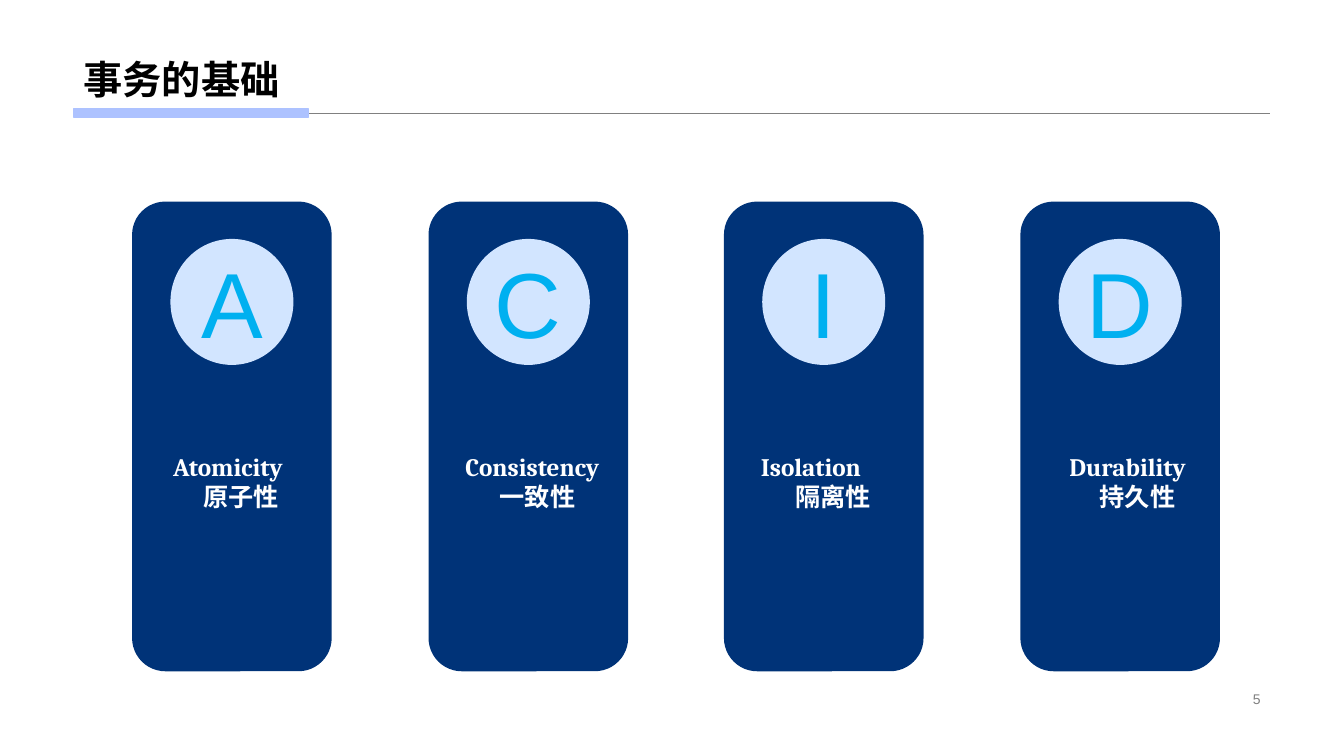
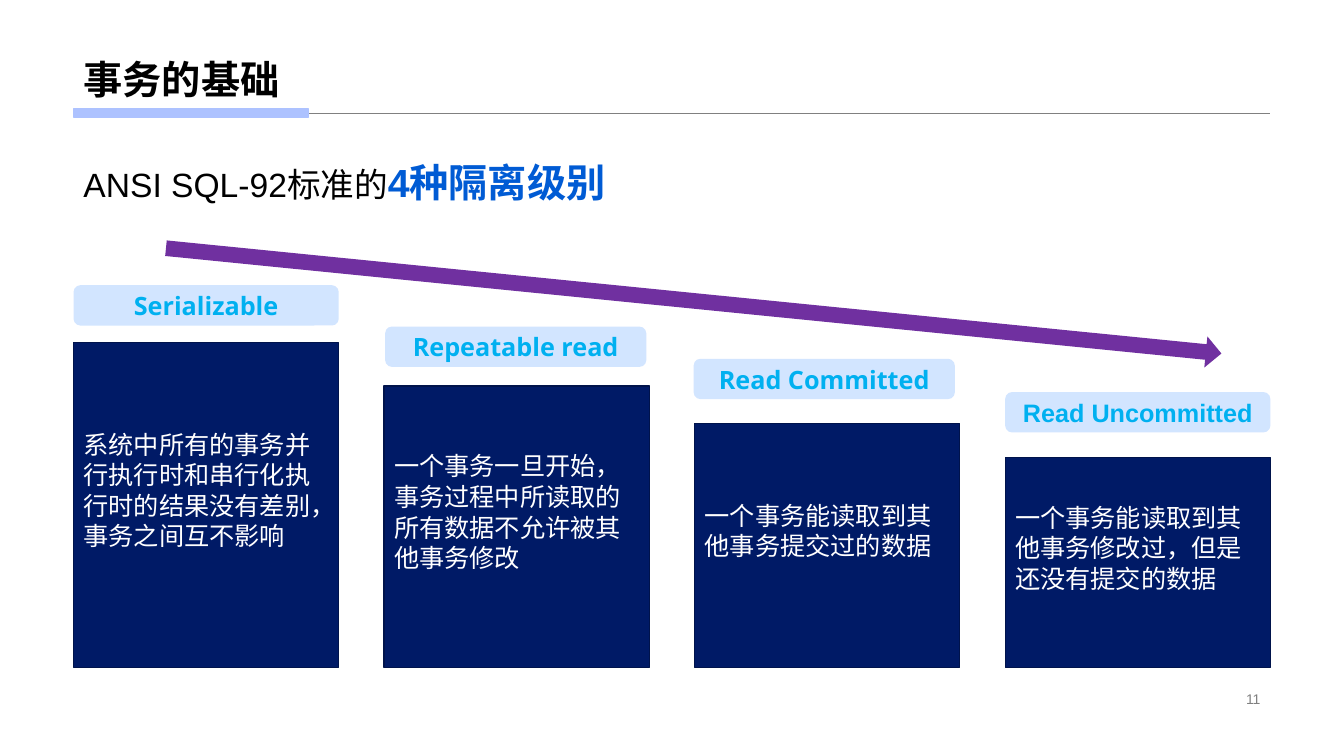
from dataclasses import dataclass

from lxml import etree
from pptx import Presentation
from pptx.dml.color import RGBColor
from pptx.enum.shapes import MSO_CONNECTOR, MSO_SHAPE
from pptx.enum.text import MSO_ANCHOR, PP_ALIGN
from pptx.oxml.ns import qn
from pptx.util import Pt

EMU_PER_PX = 9144  # 100 px to the inch
PAGE_WIDTH, PAGE_HEIGHT = 1333, 750
MARGIN, CONTENT_WIDTH = 73, 1187
TITLE_ONLY = 5

RECT, ROUNDED = MSO_SHAPE.RECTANGLE, MSO_SHAPE.ROUNDED_RECTANGLE
OVAL, ARROW = MSO_SHAPE.OVAL, MSO_SHAPE.RIGHT_ARROW
LEFT, CENTER, RIGHT = PP_ALIGN.LEFT, PP_ALIGN.CENTER, PP_ALIGN.RIGHT
TOP, MIDDLE, BOTTOM = MSO_ANCHOR.TOP, MSO_ANCHOR.MIDDLE, MSO_ANCHOR.BOTTOM

COLORS = {
    "black": "000000", "white": "FFFFFF", "gray": "808080",
    "title_bar": "ADC2FF", "emphasis": "005BD4",
    "card": "003378", "pale": "D2E5FF", "cyan": "00B0F0",
    "level": "001A66", "level_edge": "00134B", "arrow": "7030A0",
}


@dataclass(frozen=True)
class Property:
    letter: str
    english: str
    chinese: str
    english_indent: int
    chinese_indent: int


@dataclass(frozen=True)
class Level:
    name: str
    meaning: str
    top: int
    label_left: int
    label_top: int
    label_width: int
    label_font: str = "Open Sans"


PROPERTIES = [
    Property("A", "Atomicity", "原子性", 31, 61),
    Property("C", "Consistency", "一致性", 27, 61),
    Property("I", "Isolation", "隔离性", 27, 61),
    Property("D", "Durability", "持久性", 39, 69),
]
LEVELS = [
    Level("Serializable", "系统中所有的事务并行执行时和串行化执行时的结果没有差别，事务之间互不影响",
          340, 73, 283, 263),
    Level("Repeatable read", "一个事务一旦开始，事务过程中所读取的所有数据不允许被其他事务修改",
          383, 382, 324, 259),
    Level("Read Committed", "一个事务能读取到其他事务提交过的数据",
          420, 688, 356, 259),
    Level("Read Uncommitted", "一个事务能读取到其他事务修改过，但是还没有提交的数据",
          454, 997, 389, 263, "Arial"),
]


def px(length: int) -> int:
    return length * EMU_PER_PX


def color(name: str) -> RGBColor:
    return RGBColor.from_string(COLORS[name])


def set_frame(frame, anchor=MIDDLE, insets=(10, 5, 10, 5)) -> None:
    """Set wrapping, anchor and insets (left, top, right, bottom)."""
    frame.word_wrap = True
    frame.vertical_anchor = anchor
    (frame.margin_left, frame.margin_top,
     frame.margin_right, frame.margin_bottom) = map(px, insets)


def add_text(para, text: str, *, size=18, fill="white", font="Arial",
             bold=False, align=LEFT, indent=0, spacing=None) -> None:
    """Append a formatted span and format its paragraph."""
    para.alignment = align
    if spacing is not None:
        para.line_spacing = spacing
    if indent:
        properties = para._p.get_or_add_pPr()
        properties.set("marL", str(px(indent)))
        properties.set("indent", "0")
    span = para.add_run()
    span.text = text
    span.font.size = Pt(size)
    span.font.name = font
    span.font.bold = bold
    span.font.color.rgb = color(fill)
    east_asian = etree.Element(qn("a:ea"), typeface="Arial")
    span.font._element.find(qn("a:latin")).addnext(east_asian)


def add_box(page, left: int, top: int, width: int, height: int,
            anchor=MIDDLE, insets=(10, 5, 10, 5)):
    box = page.shapes.add_textbox(*map(px, (left, top, width, height)))
    set_frame(box.text_frame, anchor, insets)
    return box.text_frame.paragraphs[0]


def add_shape(page, kind, left: int, top: int, width: int, height: int,
              fill: str, edge=None, insets=(10, 5, 10, 5)):
    shape = page.shapes.add_shape(kind, *map(px, (left, top, width, height)))
    shape.shadow.inherit = False
    shape.fill.solid()
    shape.fill.fore_color.rgb = color(fill)
    if edge:
        shape.line.color.rgb = color(edge)
        shape.line.width = Pt(1)
    else:
        shape.line.fill.background()
    set_frame(shape.text_frame, insets=insets)
    return shape


def add_page(deck, title: str, number: int):
    """Add a page with its title, title rule and page number."""
    page = deck.slides.add_slide(deck.slide_layouts[TITLE_ONLY])
    rule = page.shapes.add_connector(
        MSO_CONNECTOR.STRAIGHT, px(MARGIN), px(112), px(MARGIN + CONTENT_WIDTH), px(112))
    rule.line.color.rgb = color("gray")
    rule.line.width = Pt(0.25)
    etree.SubElement(rule._element.spPr, qn("a:effectLst"))
    add_shape(page, RECT, MARGIN, 108, 233, 8, "title_bar", "title_bar")

    heading = page.shapes.title
    heading.left, heading.top = px(MARGIN), px(43)
    heading.width, heading.height = px(CONTENT_WIDTH), px(64)
    set_frame(heading.text_frame, BOTTOM)
    add_text(heading.text_frame.paragraphs[0], title,
             size=28, fill="black", bold=True, spacing=1.1)
    add_text(add_box(page, 942, 682, 318, 23), str(number),
             size=10, fill="gray", align=RIGHT)
    return page


def add_property(page, index: int, item: Property) -> None:
    left = 131 + round(index * 293.6)
    card = add_shape(page, ROUNDED, left, 200, 198, 466, "card", insets=(0, 90, 0, 0))
    frame = card.text_frame
    add_text(frame.paragraphs[0], item.english, font="Cambria", bold=True,
             indent=item.english_indent)
    add_text(frame.add_paragraph(), item.chinese, font="Cambria", bold=True,
             indent=item.chinese_indent)
    disc = add_shape(page, OVAL, left + 38, 237, 122, 125, "pale")
    add_text(disc.text_frame.paragraphs[0], item.letter,
             size=66, fill="cyan", align=CENTER)


def add_level(page, index: int, level: Level) -> None:
    block = add_shape(page, RECT, MARGIN + index * 308, level.top, 263, 662 - level.top,
                      "level", "level_edge", insets=(10, 5, 10, 35))
    add_text(block.text_frame.paragraphs[0], level.meaning,
             font="Open Sans", spacing=Pt(21.8))
    label = add_shape(page, ROUNDED, level.label_left, level.label_top,
                      level.label_width, 40, "pale")
    add_text(label.text_frame.paragraphs[0], level.name,
             fill="cyan", font=level.label_font, bold=True, align=CENTER)


def build_properties(deck) -> None:
    page = add_page(deck, "事务的基础", 5)
    for index, item in enumerate(PROPERTIES):
        add_property(page, index, item)


def build_levels(deck) -> None:
    page = add_page(deck, "事务的基础", 11)
    para = add_box(page, MARGIN, 152, CONTENT_WIDTH, 57, TOP)
    add_text(para, "ANSI SQL-92标准的", size=24, fill="black")
    add_text(para, "4种隔离级别", size=28, fill="emphasis", bold=True)
    for index, level in enumerate(LEVELS):
        add_level(page, index, level)
    arrow = add_shape(page, ARROW, 162, 283, 1052, 31, "arrow")
    arrow.rotation = 5.7


def main() -> None:
    deck = Presentation()
    deck.slide_width, deck.slide_height = px(PAGE_WIDTH), px(PAGE_HEIGHT)
    build_properties(deck)
    build_levels(deck)
    deck.save("out.pptx")


if __name__ == "__main__":
    main()
